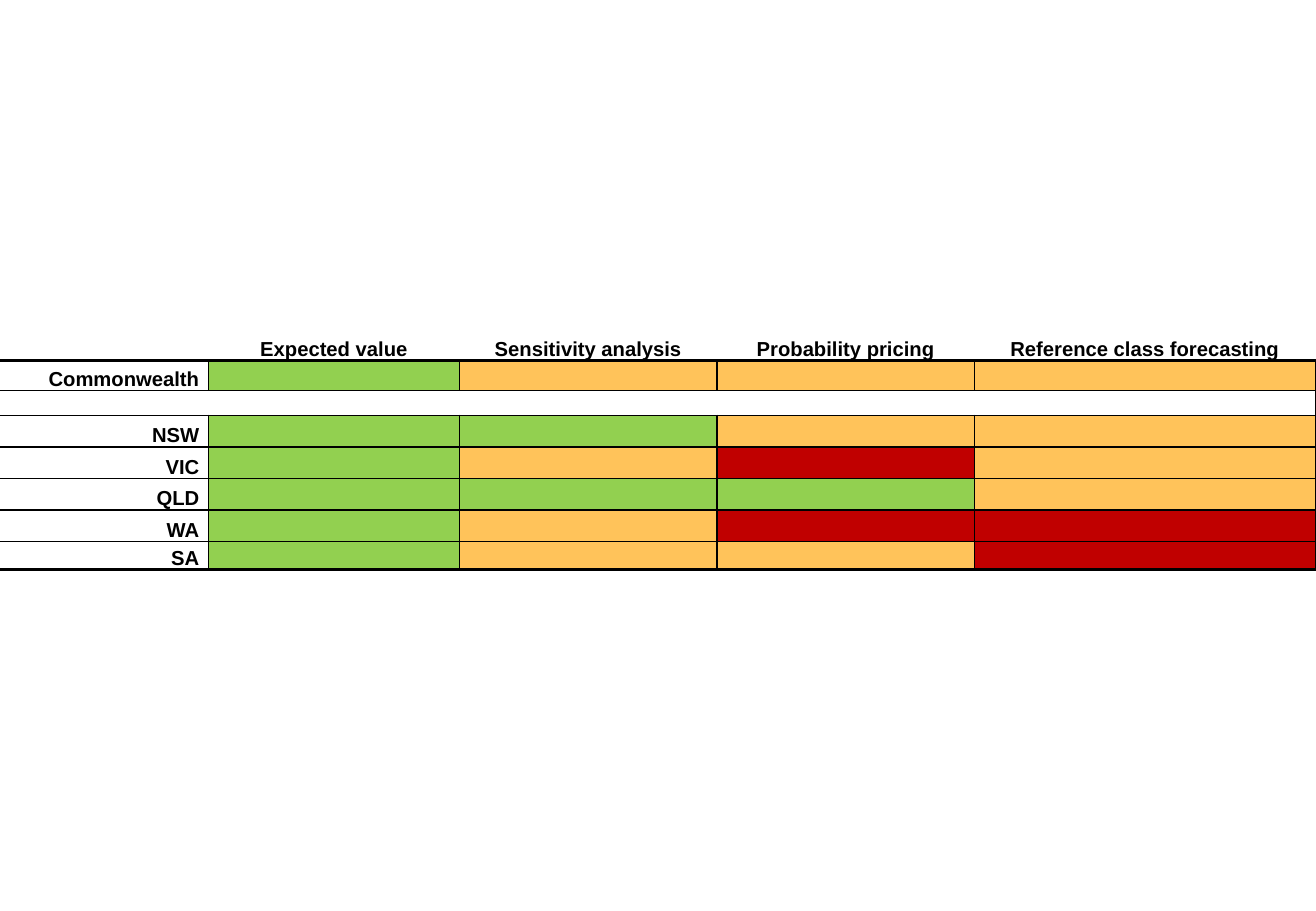
import pptx
import pptx.dml.color
import pptx.enum.text
import pptx.oxml
import pptx.oxml.ns
import pptx.util

Pt = pptx.util.Pt
RGBColor = pptx.dml.color.RGBColor
PP_ALIGN = pptx.enum.text.PP_ALIGN

BLACK = RGBColor(0x00, 0x00, 0x00)
GREEN = RGBColor(0x92, 0xD0, 0x50)
AMBER = RGBColor(0xFF, 0xC3, 0x5A)
RED = RGBColor(0xC0, 0x00, 0x00)

THIN, THICK = 1, 2.25
COLUMN_WIDTHS = [124.7, 148.8, 152.6, 152.6, 202.2]
ROW_HEIGHTS = [23.1, 17.5, 14.8, 18.7, 18.7, 18.7, 18.7, 16.9]
METHODS = ["Expected value", "Sensitivity analysis", "Probability pricing",
           "Reference class forecasting"]
RATINGS = [
    ("Commonwealth", [GREEN, AMBER, AMBER, AMBER]),
    ("", [None] * 4),
    ("NSW", [GREEN, GREEN, AMBER, AMBER]),
    ("VIC", [GREEN, AMBER, RED, AMBER]),
    ("QLD", [GREEN, GREEN, GREEN, AMBER]),
    ("WA", [GREEN, AMBER, RED, RED]),
    ("SA", [GREEN, AMBER, AMBER, RED]),
]
SPACER_ROW = 2


class SlideBuilder:
    font_name = "Arial"
    font_size = 12
    empty_size = 8

    def __init__(self, slide):
        self.slide = slide

    def table(self, left, top, widths, heights):
        shape = self.slide.shapes.add_table(
            len(heights), len(widths), Pt(left), Pt(top),
            Pt(sum(widths)), Pt(sum(heights)))
        table = shape.table
        table.first_row = table.horz_banding = False
        for column, width in zip(table.columns, widths):
            column.width = Pt(width)
        for row, height in zip(table.rows, heights):
            row.height = Pt(height)
        return table

    def borders(self, cell, **widths):
        """Draw black sides L, R, T and B; a width of 0 leaves a side open."""
        properties = cell._tc.get_or_add_tcPr()
        for side in "LRTB":
            width = widths[side]
            paint = (f'<a:solidFill><a:srgbClr val="{BLACK}"/></a:solidFill>'
                     if width else "<a:noFill/>")
            properties.append(pptx.oxml.parse_xml(
                f'<a:ln{side} {pptx.oxml.ns.nsdecls("a")} w="{Pt(width)}">'
                f"{paint}</a:ln{side}>"))

    def cell(self, cell, text, color, alignment, space_before):
        cell.margin_left = cell.margin_right = Pt(5.4)
        cell.margin_top = cell.margin_bottom = 0
        cell.vertical_anchor = pptx.enum.text.MSO_ANCHOR.BOTTOM
        if color is None:
            cell.fill.background()
        else:
            cell.fill.solid()
            cell.fill.fore_color.rgb = color
        paragraph = cell.text_frame.paragraphs[0]
        paragraph.alignment = alignment
        font = paragraph.font
        font.name = self.font_name
        font.size = Pt(self.font_size if text else self.empty_size)
        font.bold = True
        font.color.rgb = BLACK
        if text:
            paragraph.space_before = Pt(space_before)
            paragraph.add_run().text = text


def main():
    presentation = pptx.Presentation()
    presentation.slide_width = Pt(780)
    presentation.slide_height = Pt(540)
    builder = SlideBuilder(
        presentation.slides.add_slide(presentation.slide_layouts[6]))
    table = builder.table(-1.2, 190.8, COLUMN_WIDTHS, ROW_HEIGHTS)

    rows = [("", METHODS, [None] * 4)]
    rows += [(name, [""] * 4, colors) for name, colors in RATINGS]
    last_row, last_column = len(rows) - 1, len(METHODS)
    for row, (name, texts, colors) in enumerate(rows):
        top = {0: 0, 1: THICK}.get(row, THIN)
        bottom = THICK if row in (0, last_row) else THIN
        inner = 0 if row in (0, SPACER_ROW) else THIN
        outer = THIN if row else 0
        for column, (text, color) in enumerate(
                zip([name, *texts], [None, *colors])):
            cell = table.cell(row, column)
            builder.borders(cell, T=top, B=bottom,
                            L=inner if column else outer,
                            R=inner if column < last_column else outer)
            builder.cell(cell, text, color,
                         PP_ALIGN.RIGHT if column == 0 else PP_ALIGN.CENTER,
                         1 if row == 1 else 12)

    presentation.save("out.pptx")


if __name__ == "__main__":
    main()
